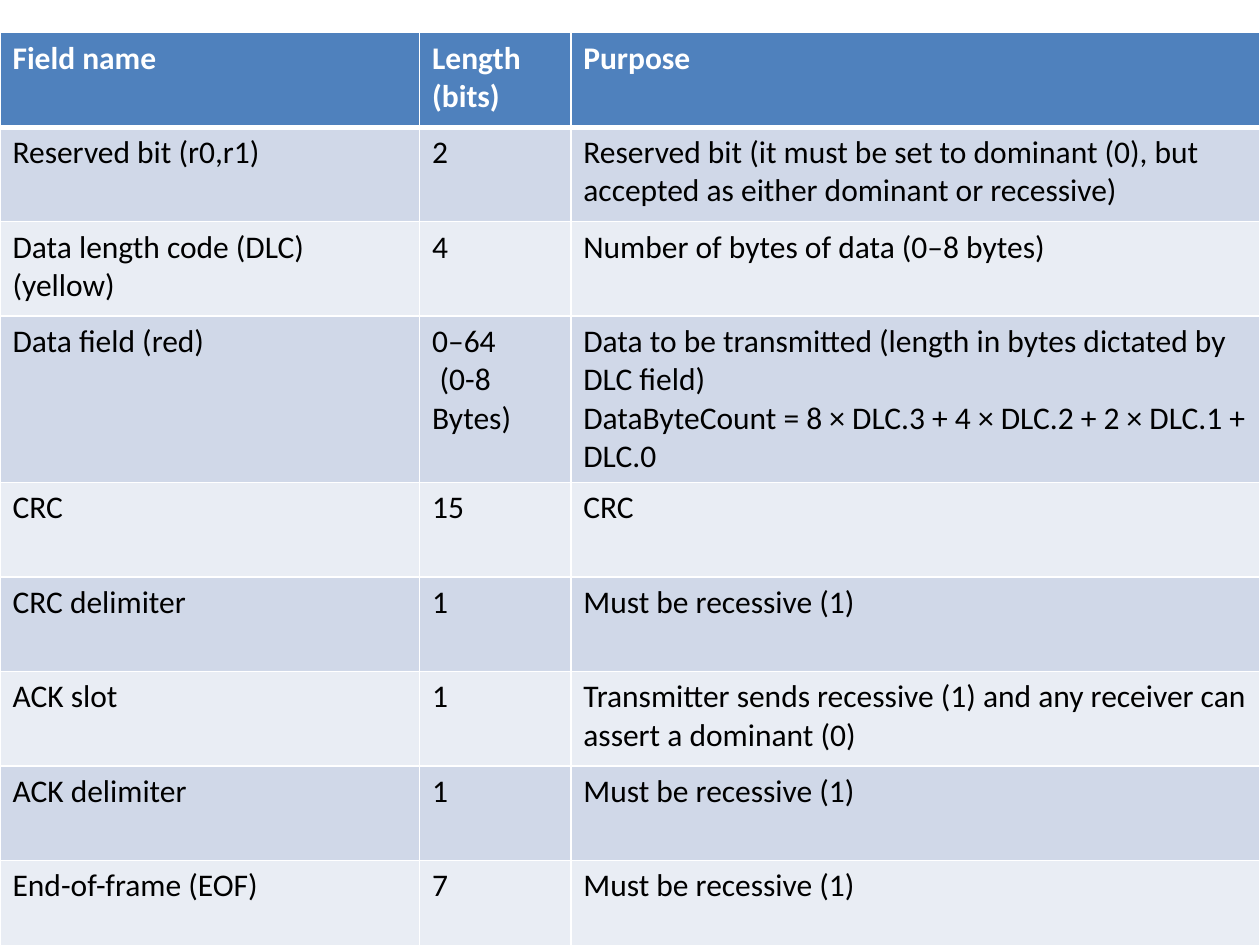
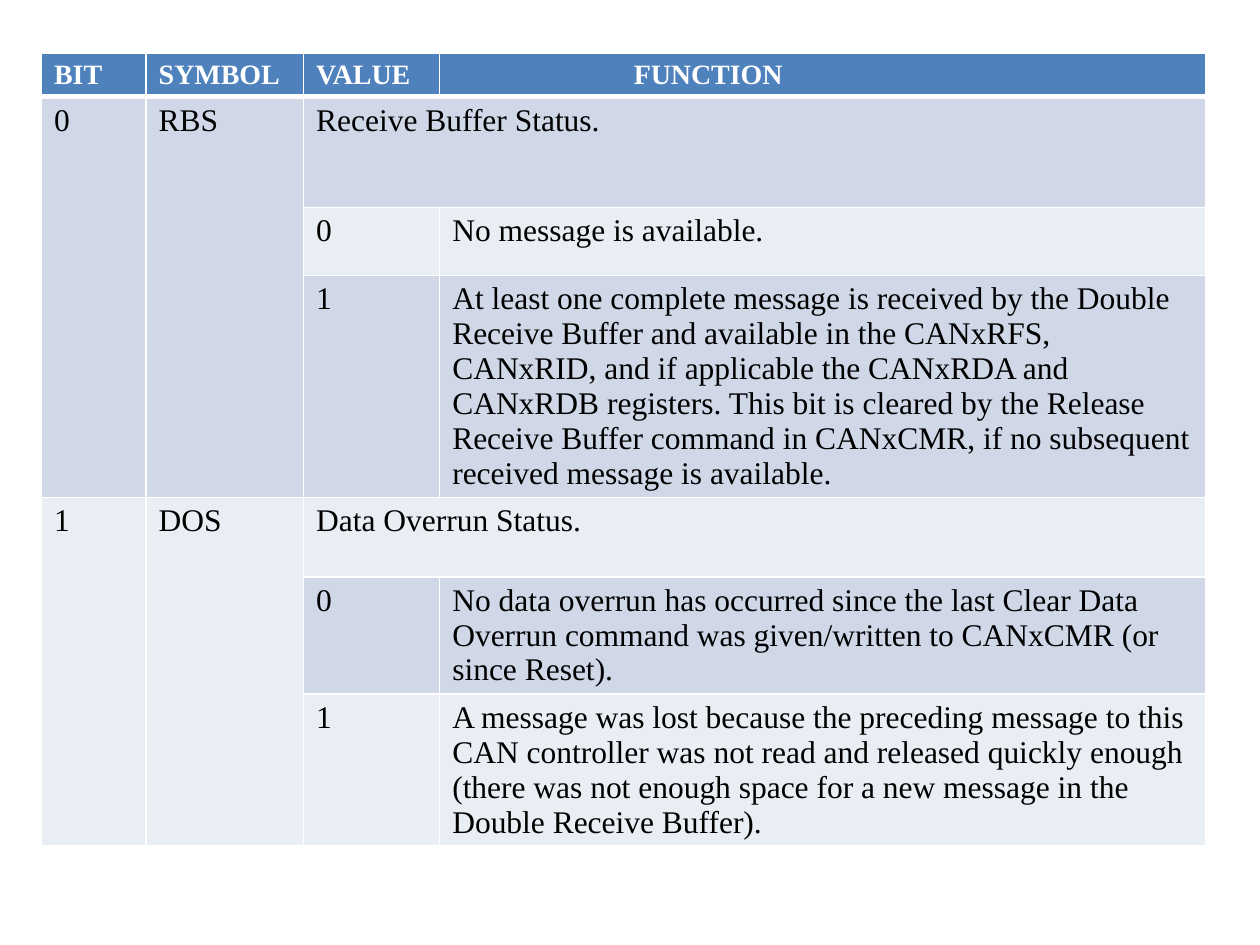
from lxml import etree
from pptx import Presentation
from pptx.dml.color import RGBColor
from pptx.oxml.ns import qn
from pptx.util import Inches, Pt

COLORS = {
    "header": "4F81BD",
    "odd": "D0D8E8",
    "even": "E9EDF4",
    "border": "FFFFFF",
    "header_text": "FFFFFF",
    "body_text": "000000",
}
THIN, THICK = Pt(1), Pt(3)

FRAME_FIELDS = [
    ["Field name", "Length (bits)", "Purpose"],
    ["Reserved bit (r0,r1)", "2",
     "Reserved bit (it must be set to dominant (0), but accepted as either "
     "dominant or recessive)"],
    ["Data length code (DLC) (yellow)", "4", "Number of bytes of data (0–8 bytes)"],
    ["Data field (red)", "0–64\n(0-8 Bytes)",
     "Data to be transmitted (length in bytes dictated by DLC field)\n"
     "DataByteCount = 8 × DLC.3 + 4 × DLC.2 + 2 × DLC.1 + DLC.0"],
    ["CRC", "15", "CRC"],
    ["CRC delimiter", "1", "Must be recessive (1)"],
    ["ACK slot", "1",
     "Transmitter sends recessive (1) and any receiver can assert a dominant (0)"],
    ["ACK delimiter", "1", "Must be recessive (1)"],
    ["End-of-frame (EOF)", "7", "Must be recessive (1)"],
]

STATUS_BITS = [
    ["BIT", "SYMBOL", "VALUE", "FUNCTION"],
    ["0", "RBS", "Receive Buffer Status.", ""],
    ["", "", "0", "No message is available."],
    ["", "", "1",
     "At least one complete message is received by the Double Receive Buffer and "
     "available in the CANxRFS, CANxRID, and if applicable the CANxRDA and CANxRDB "
     "registers. This bit is cleared by the Release Receive Buffer command in "
     "CANxCMR, if no subsequent received message is available."],
    ["1", "DOS", "Data Overrun Status.", ""],
    ["", "", "0",
     "No data overrun has occurred since the last Clear Data Overrun command was "
     "given/written to CANxCMR (or since Reset)."],
    ["", "", "1",
     "A message was lost because the preceding message to this CAN controller was "
     "not read and released quickly enough (there was not enough space for a new "
     "message in the Double Receive Buffer)."],
]


def color(name):
    return RGBColor.from_string(COLORS[name])


def set_borders(cell, top, bottom):
    properties = cell._tc.get_or_add_tcPr()
    for side, width in (("L", THIN), ("R", THIN), ("T", top), ("B", bottom)):
        line = etree.SubElement(properties, qn(f"a:ln{side}"), w=str(width))
        fill = etree.SubElement(line, qn("a:solidFill"))
        etree.SubElement(fill, qn("a:srgbClr"), val=COLORS["border"])


def indent(paragraph, left, first_line):
    properties = paragraph._p.get_or_add_pPr()
    properties.set("marL", str(Inches(left)))
    properties.set("indent", str(Inches(first_line)))


def style_cell(cell, row, font_name, header_size):
    is_header = row == 0
    set_borders(cell, THICK if row == 1 else THIN, THICK if is_header else THIN)
    cell.fill.solid()
    band = "header" if is_header else ("odd" if row % 2 else "even")
    cell.fill.fore_color.rgb = color(band)
    for paragraph in cell.text_frame.paragraphs:
        font = paragraph.font
        font.name = font_name
        font.size = Pt(header_size if is_header else 18)
        font.bold = is_header
        font.color.rgb = color("header_text" if is_header else "body_text")


def add_banded_table(slide, box, rows, widths, heights, font_name, header_size):
    """Fill the box (left, top) with a header row and alternating body rows."""
    left, top = box
    table = slide.shapes.add_table(
        len(rows), len(widths), Inches(left), Inches(top),
        Inches(sum(widths)), Inches(sum(heights))).table
    table.first_row = table.horz_banding = False
    for column, width in zip(table.columns, widths):
        column.width = Inches(width)
    for row_index, (texts, height) in enumerate(zip(rows, heights)):
        table.rows[row_index].height = Inches(height)
        for column_index, text in enumerate(texts):
            cell = table.cell(row_index, column_index)
            cell.text = text
            style_cell(cell, row_index, font_name, header_size)
    return table


def add_frame_fields_slide(presentation):
    slide = presentation.slides.add_slide(presentation.slide_layouts[6])
    heights = [0.75] * len(FRAME_FIELDS)
    heights[3] = 1.31
    table = add_banded_table(slide, (0, 0.26), FRAME_FIELDS, [3.33, 1.2, 5.47],
                             heights, "Calibri", 18)
    indent(table.cell(3, 1).text_frame.paragraphs[1], 0, 0.06)


def add_status_bits_slide(presentation):
    slide = presentation.slides.add_slide(presentation.slide_layouts[6])
    table = add_banded_table(slide, (0.33, 0.42), STATUS_BITS,
                             [0.83, 1.25, 1.08, 6.08],
                             [0.34, 0.88, 0.54, 1.75, 0.63, 0.93, 1.2],
                             "Times New Roman", 16)
    indent(table.cell(0, 3).text_frame.paragraphs[0], 1.44, 0)
    for first_row in (1, 4):
        for column in (0, 1):
            table.cell(first_row, column).merge(table.cell(first_row + 2, column))
        table.cell(first_row, 2).merge(table.cell(first_row, 3))


def main():
    presentation = Presentation()
    presentation.slide_width = Inches(10)
    presentation.slide_height = Inches(7.5)
    add_frame_fields_slide(presentation)
    add_status_bits_slide(presentation)
    presentation.save("out.pptx")


if __name__ == "__main__":
    main()
